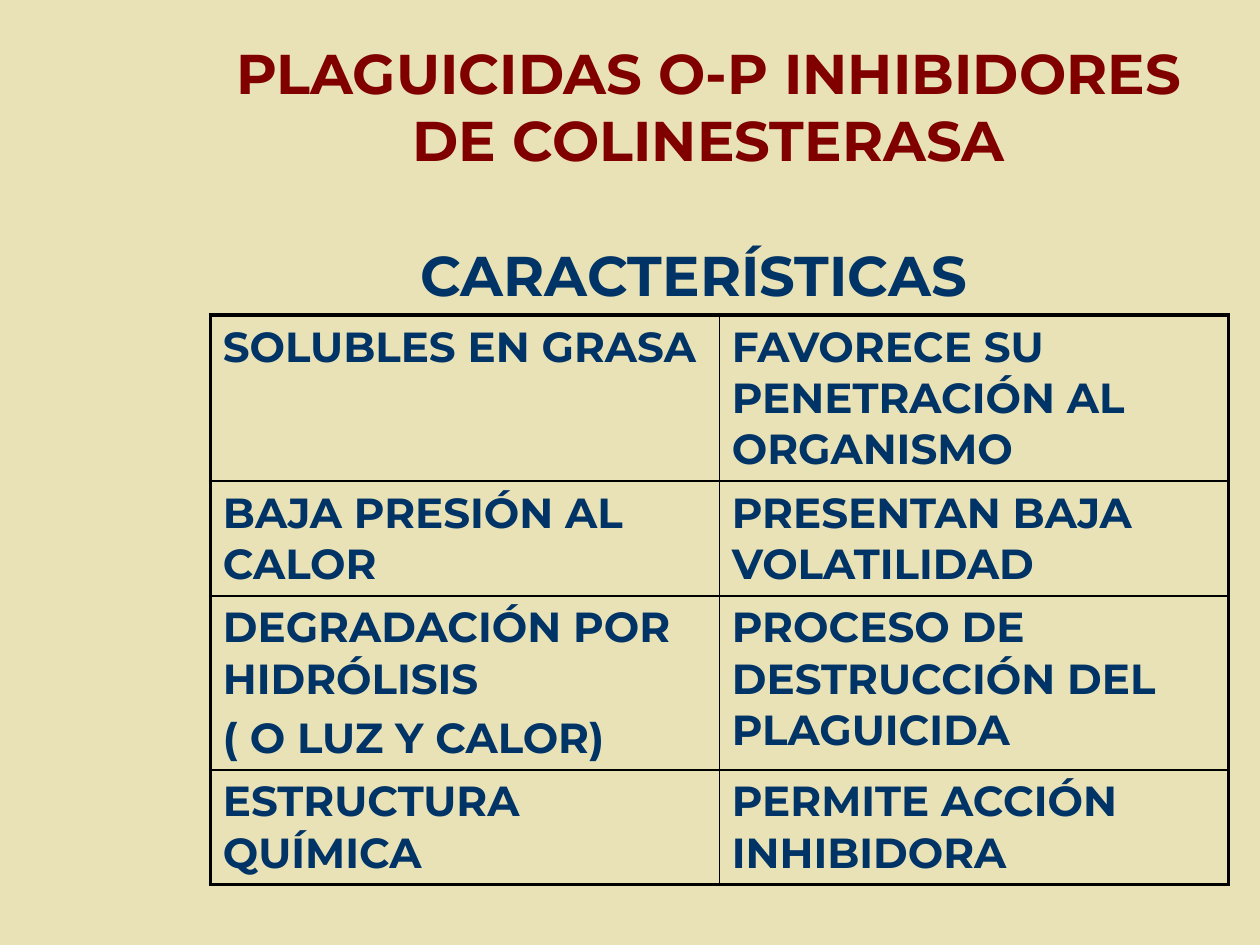
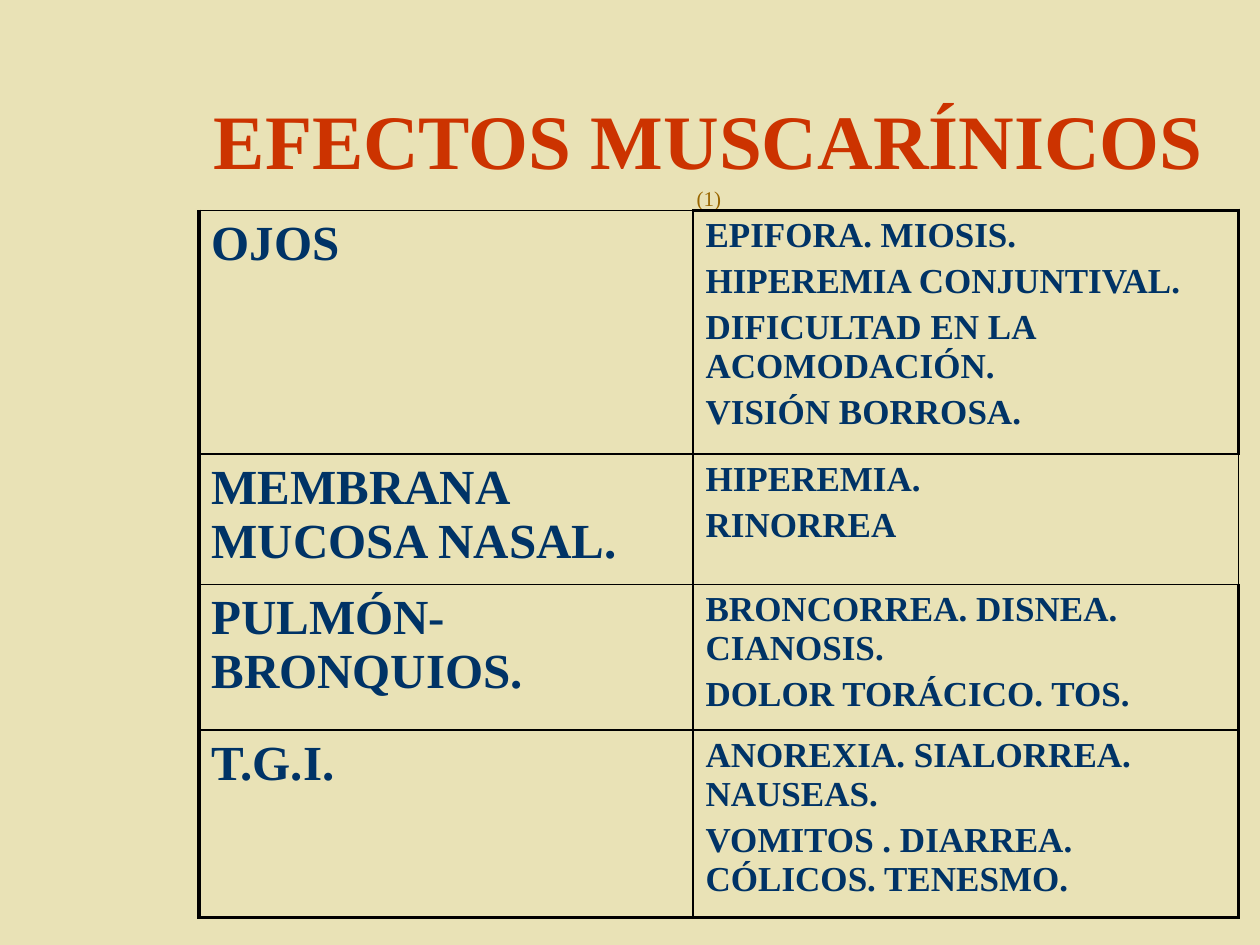
from lxml import etree
from pptx import Presentation
from pptx import util as u
from pptx.dml.color import RGBColor
from pptx.enum import text
from pptx.oxml.ns import qn

COLORS = {
    "background": "E9E2B6",
    "body": "003366",
    "maroon": "800000",
    "red": "CC3300",
    "ochre": "996600",
    "border": "000000",
}
SANS, SERIF = "Montserrat", "Times New Roman"
THICK, THIN = u.Pt(2.25), u.Pt(1)

TRAITS = [
    ("SOLUBLES EN GRASA", "FAVORECE SU PENETRACIÓN AL ORGANISMO"),
    ("BAJA PRESIÓN AL CALOR", "PRESENTAN BAJA VOLATILIDAD"),
    ("DEGRADACIÓN POR HIDRÓLISIS\n( O LUZ Y CALOR)",
     "PROCESO DE DESTRUCCIÓN DEL PLAGUICIDA"),
    ("ESTRUCTURA QUÍMICA", "PERMITE ACCIÓN INHIBIDORA"),
]
EFFECTS = [
    ("OJOS",
     "EPIFORA. MIOSIS.\nHIPEREMIA CONJUNTIVAL.\n"
     "DIFICULTAD EN LA ACOMODACIÓN.\nVISIÓN BORROSA."),
    ("MEMBRANA MUCOSA NASAL.", "HIPEREMIA.\nRINORREA"),
    ("PULMÓN-BRONQUIOS.",
     "BRONCORREA. DISNEA. CIANOSIS.\nDOLOR TORÁCICO. TOS."),
    ("T.G.I.",
     "ANOREXIA. SIALORREA. NAUSEAS.\n"
     "VOMITOS . DIARREA. CÓLICOS. TENESMO."),
]


def add_slide(prs):
    """Add a blank slide with the shared background."""
    s = prs.slides.add_slide(prs.slide_layouts[6])
    s.background.fill.solid()
    s.background.fill.fore_color.rgb = RGBColor.from_string(COLORS["background"])
    return s


def style_run(r, font, size, color, bold=True):
    """Format one run."""
    r.font.name = font
    r.font.size = u.Pt(size)
    r.font.bold = bold
    r.font.color.rgb = RGBColor.from_string(COLORS[color])


def add_heading(s, box, content, font, size, color, anchor=text.MSO_ANCHOR.MIDDLE):
    """Add a centred heading and return its paragraph."""
    tf = s.shapes.add_textbox(*(u.Cm(n) for n in box)).text_frame
    tf.word_wrap = True
    tf.vertical_anchor = anchor
    p = tf.paragraphs[0]
    p.text = content
    p.alignment = text.PP_ALIGN.CENTER
    style_run(p.runs[0], font, size, color)
    return p


def set_borders(cell, widths):
    """Draw the four cell borders, given in the order L, R, T, B."""
    tc_pr = cell._tc.get_or_add_tcPr()
    for i, (side, width) in enumerate(zip("LRTB", widths)):
        ln = etree.Element(qn(f"a:ln{side}"), w=str(width))
        fill = etree.SubElement(ln, qn("a:solidFill"))
        etree.SubElement(fill, qn("a:srgbClr"), val=COLORS["border"])
        tc_pr.insert(i, ln)


def fill_cell(cell, content, font, size):
    """Write the lines of a cell as spaced paragraphs."""
    cell.fill.background()
    cell.text_frame.text = content
    for i, p in enumerate(cell.text_frame.paragraphs):
        if i:
            p.space_before = u.Pt(size * 0.2)
        style_run(p.runs[0], font, size, "body")


def add_grid(s, left, top, widths, heights, rows, font, sizes, thin_edges=()):
    """Add a table with a thick frame, apart from the thin edges named."""
    table = s.shapes.add_table(
        len(rows), len(widths), u.Cm(left), u.Cm(top),
        u.Cm(sum(widths)), u.Cm(sum(heights))).table
    table.first_row = table.horz_banding = False
    for column, width in zip(table.columns, widths):
        column.width = u.Cm(width)
    for i, (height, row) in enumerate(zip(heights, rows)):
        table.rows[i].height = u.Cm(height)
        for j, content in enumerate(row):
            cell = table.cell(i, j)
            fill_cell(cell, content, font, sizes[j])
            outer = {"L": j == 0, "R": j == len(widths) - 1,
                     "T": i == 0, "B": i == len(rows) - 1}
            set_borders(cell, [
                THICK if edge and (i, j, side) not in thin_edges else THIN
                for side, edge in outer.items()])


def add_traits_slide(prs):
    """Build the slide on pesticide characteristics."""
    s = add_slide(prs)
    add_heading(s, (3.81, 0.64, 20.96, 2.97),
                "PLAGUICIDAS O-P INHIBIDORES DE COLINESTERASA",
                SANS, 32, "maroon")
    p = add_heading(s, (3.51, 4.88, 20.96, 1.47), "CARACTERÍSTICAS",
                    SANS, 32, "body", text.MSO_ANCHOR.TOP)
    p.line_spacing = 0.9
    add_grid(s, 4.24, 6.35, (10.26, 10.26), (3.35, 2.31, 3.51, 2.31),
             TRAITS, SANS, (24, 24))


def add_effects_slide(prs):
    """Build the slide on muscarinic effects."""
    s = add_slide(prs)
    p = add_heading(s, (3.81, 1.47, 20.96, 3.18), "EFECTOS MUSCARÍNICOS ",
                    SERIF, 44, "red")
    r = p.add_run()
    r.text = "(1)"
    style_run(r, SERIF, 12, "ochre", bold=False)
    add_grid(s, 4.01, 4.24, (9.96, 11), (4.72, 2.44, 2.74, 3.53),
             EFFECTS, SERIF, (28, 20), {(0, 0, "T"), (1, 1, "R")})


def main():
    """Build and save the presentation."""
    prs = Presentation()
    prs.slide_width, prs.slide_height = u.Cm(25.4), u.Cm(19.05)
    add_traits_slide(prs)
    add_effects_slide(prs)
    prs.save("out.pptx")


if __name__ == "__main__":
    main()
